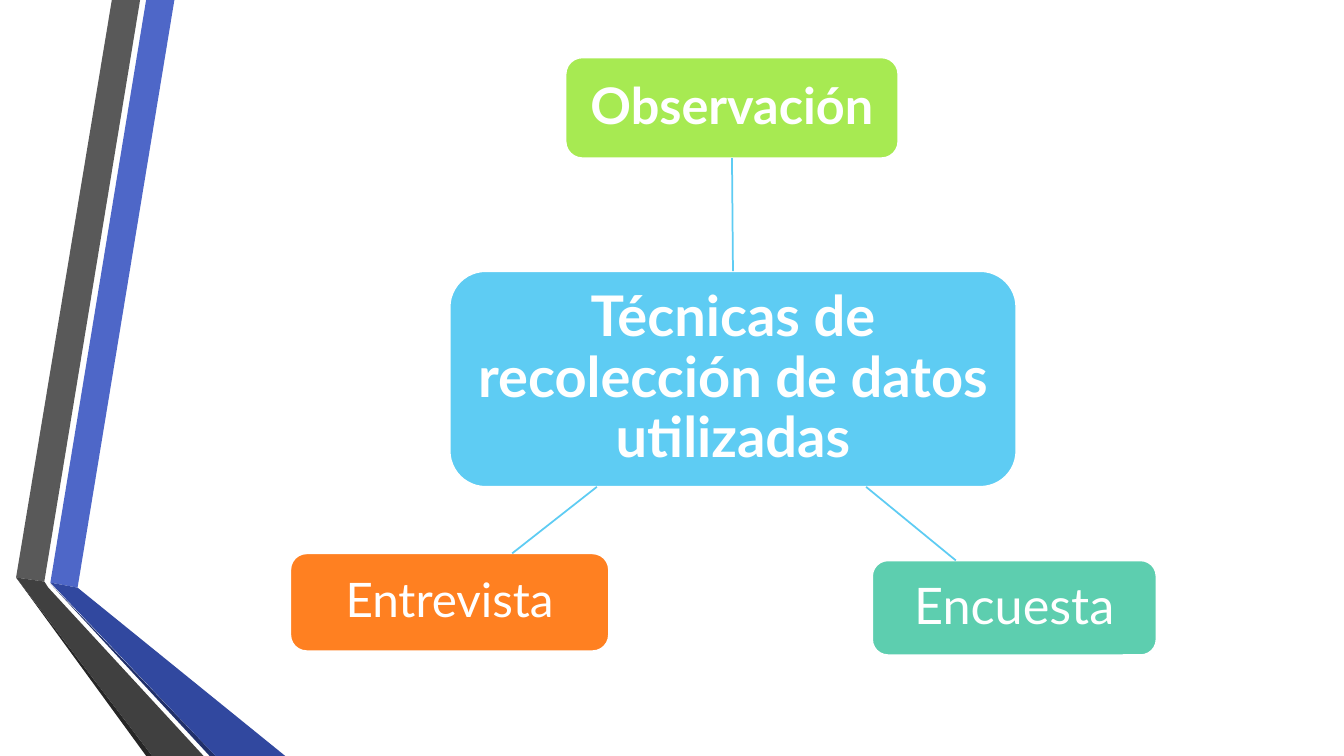
from pptx import Presentation
from pptx.dml.color import RGBColor
from pptx.enum.shapes import MSO_CONNECTOR, MSO_SHAPE
from pptx.enum.text import MSO_ANCHOR, PP_ALIGN
from pptx.oxml.ns import qn
from pptx.util import Pt
from lxml import etree

PX = 9144
ROUNDED = MSO_SHAPE.ROUNDED_RECTANGLE
STRAIGHT = MSO_CONNECTOR.STRAIGHT
MIDDLE = MSO_ANCHOR.MIDDLE
CENTER = PP_ALIGN.CENTER
TOP, BOTTOM = 0, 2


def color(value):
    return RGBColor.from_string(value)


def write(box, text, size, bold=False, inset=10):
    frame = box.text_frame
    frame.word_wrap = True
    frame.vertical_anchor = MIDDLE
    frame.margin_left = frame.margin_right = inset * PX
    frame.margin_top = frame.margin_bottom = inset * PX
    para = frame.paragraphs[0]
    para.alignment = CENTER
    para.line_spacing = 0.9
    span = para.add_run()
    span.text = text
    span.font.name = "Lato"
    span.font.size = Pt(size)
    span.font.bold = bold
    span.font.color.rgb = color("FFFFFF")


deck = Presentation()
deck.slide_width = 1333 * PX
deck.slide_height = 750 * PX
page = deck.slides.add_slide(deck.slide_layouts[6])

ribbons = [
    ("4E67C8", [(50, 578), (77, 583), (173, 0), (145, 0)]),
    ("595959", [(139, 0), (111, 0), (16, 573), (44, 577)]),
    ("262626", [(16, 573), (145, 750), (151, 750)]),
    ("21306A", [(50, 579), (208, 750), (214, 750)]),
    ("31489F", [(50, 578), (214, 750), (283, 750), (77, 583)]),
    ("404040", [(202, 750), (48, 583), (44, 577), (16, 573), (151, 750)]),
]
for fill, points in ribbons:
    builder = page.shapes.build_freeform(*points[0], scale=PX)
    builder.add_line_segments(points[1:], close=True)
    ribbon = builder.convert_to_shape()
    ribbon.shadow.inherit = False
    ribbon.fill.solid()
    ribbon.fill.fore_color.rgb = color(fill)
    ribbon.line.fill.background()

nodes = [
    ("Técnicas de recolección de datos utilizadas", (446, 269, 562, 214), "5ECCF3",
     {"size": 40, "bold": True, "inset": 11}),
    ("Observación", (561, 57, 330, 100), "A7EA52", {"size": 36, "bold": True}),
    ("Encuesta", (865, 556, 282, 94), "5DCEAF", {"size": 36}),
    ("Entrevista", (288, 549, 316, 97), "FF8021", {"size": 34}),
]
boxes = {}
for text, area, fill, style in nodes:
    box = page.shapes.add_shape(ROUNDED, *[side * PX for side in area])
    box.shadow.inherit = False
    box.fill.solid()
    box.fill.fore_color.rgb = color(fill)
    box.line.color.rgb = color("FFFFFF")
    box.line.width = Pt(1.25)
    write(box, text, **style)
    boxes[text] = box

links = []
for ends in [(727, 269, 726, 157), (859, 483, 948, 556), (592, 483, 508, 549)]:
    link = page.shapes.add_connector(STRAIGHT, *[end * PX for end in ends])
    link.line.color.rgb = color("5ECCF3")
    link.line.width = Pt(1.25)
    etree.SubElement(link._element.spPr, qn("a:effectLst"))
    links.append(link)
links[0].begin_connect(boxes[nodes[0][0]], TOP)
links[0].end_connect(boxes["Observación"], BOTTOM)

deck.save("out.pptx")
